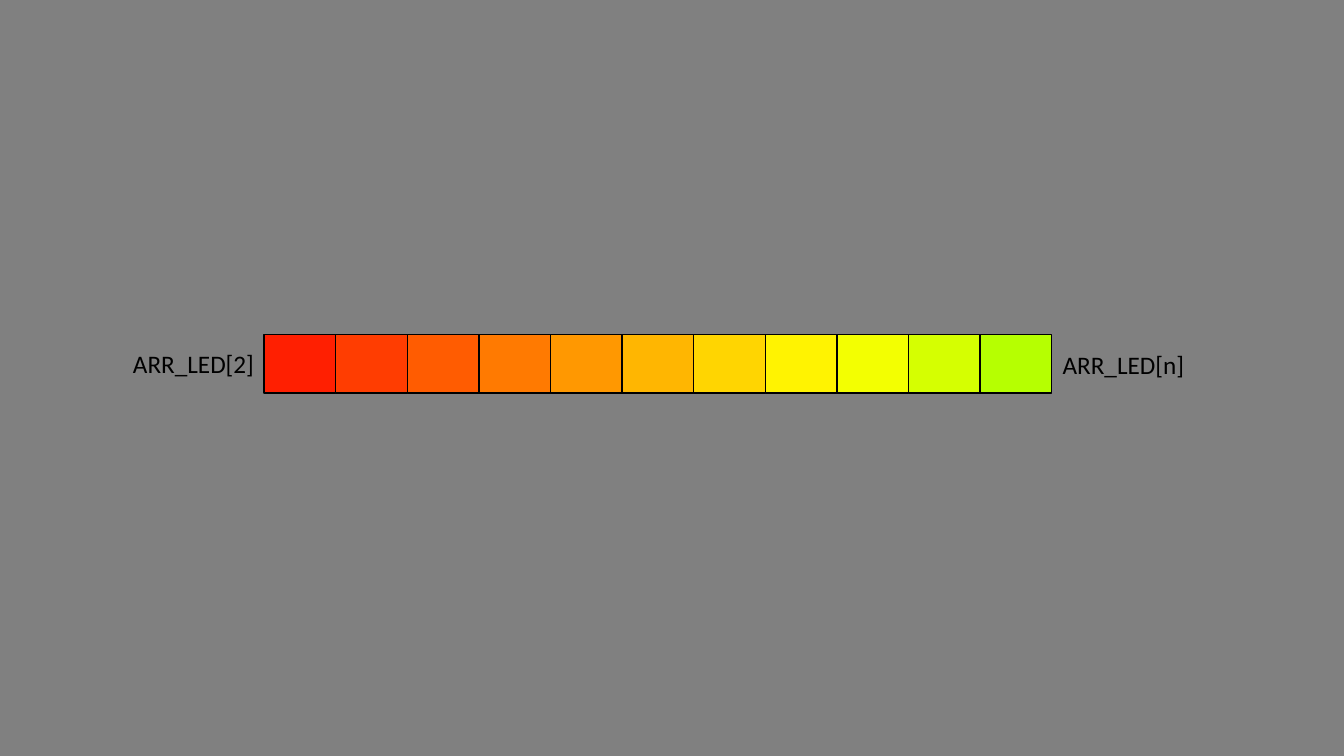
import pptx
import pptx.util
import pptx.dml.color
import pptx.enum.shapes
import pptx.enum.text

LEDS = ["FF1F01", "FF3D01", "FF5C01", "FF7A01", "FF9801", "FFB601",
        "FFD501", "FFF301", "F3FF01", "D5FF01", "B6FF01"]
LABELS = [("ARR_LED[2]", 1.22, 3.41), ("ARR_LED[n]", 10.44, 3.42)]
COLORS = {"background": "808080", "ink": "000000"}
FONT, TEXT_SIZE = "Calibri", 18
STRIP_LEFT, STRIP_TOP = 2.62, 3.32
LED_WIDTH, LED_HEIGHT = 0.71, 0.58
LABEL_WIDTH, LABEL_HEIGHT = 1.42, 0.4


def rgb(value):
    """Turn a hex string into a colour."""
    return pptx.dml.color.RGBColor.from_string(value)


def box(*lengths):
    """Convert left, top, width and height from inches."""
    return [pptx.util.Inches(length) for length in lengths]


def add_led(s, index, color):
    """Draw one LED of the strip, placed by its index."""
    left = STRIP_LEFT + index * LED_WIDTH
    sp = s.shapes.add_shape(pptx.enum.shapes.MSO_SHAPE.RECTANGLE,
                            *box(left, STRIP_TOP, LED_WIDTH, LED_HEIGHT))
    sp.shadow.inherit = False
    sp.fill.solid()
    sp.fill.fore_color.rgb = rgb(color)
    sp.line.color.rgb = rgb(COLORS["ink"])
    sp.line.width = pptx.util.Pt(1)


def add_label(s, text, left, top):
    """Write the name of an array element beside the strip."""
    sp = s.shapes.add_textbox(*box(left, top, LABEL_WIDTH, LABEL_HEIGHT))
    tf = sp.text_frame
    tf.word_wrap = False
    tf.auto_size = pptx.enum.text.MSO_AUTO_SIZE.SHAPE_TO_FIT_TEXT
    r = tf.paragraphs[0].add_run()
    r.text = text
    r.font.name = FONT
    r.font.size = pptx.util.Pt(TEXT_SIZE)
    r.font.color.rgb = rgb(COLORS["ink"])


prs = pptx.Presentation()
prs.slide_width = pptx.util.Inches(13.33)
prs.slide_height = pptx.util.Inches(7.5)
s = prs.slides.add_slide(prs.slide_layouts[6])
s.background.fill.solid()
s.background.fill.fore_color.rgb = rgb(COLORS["background"])

for index, color in enumerate(LEDS):
    add_led(s, index, color)
for text, left, top in LABELS:
    add_label(s, text, left, top)

prs.save("out.pptx")
